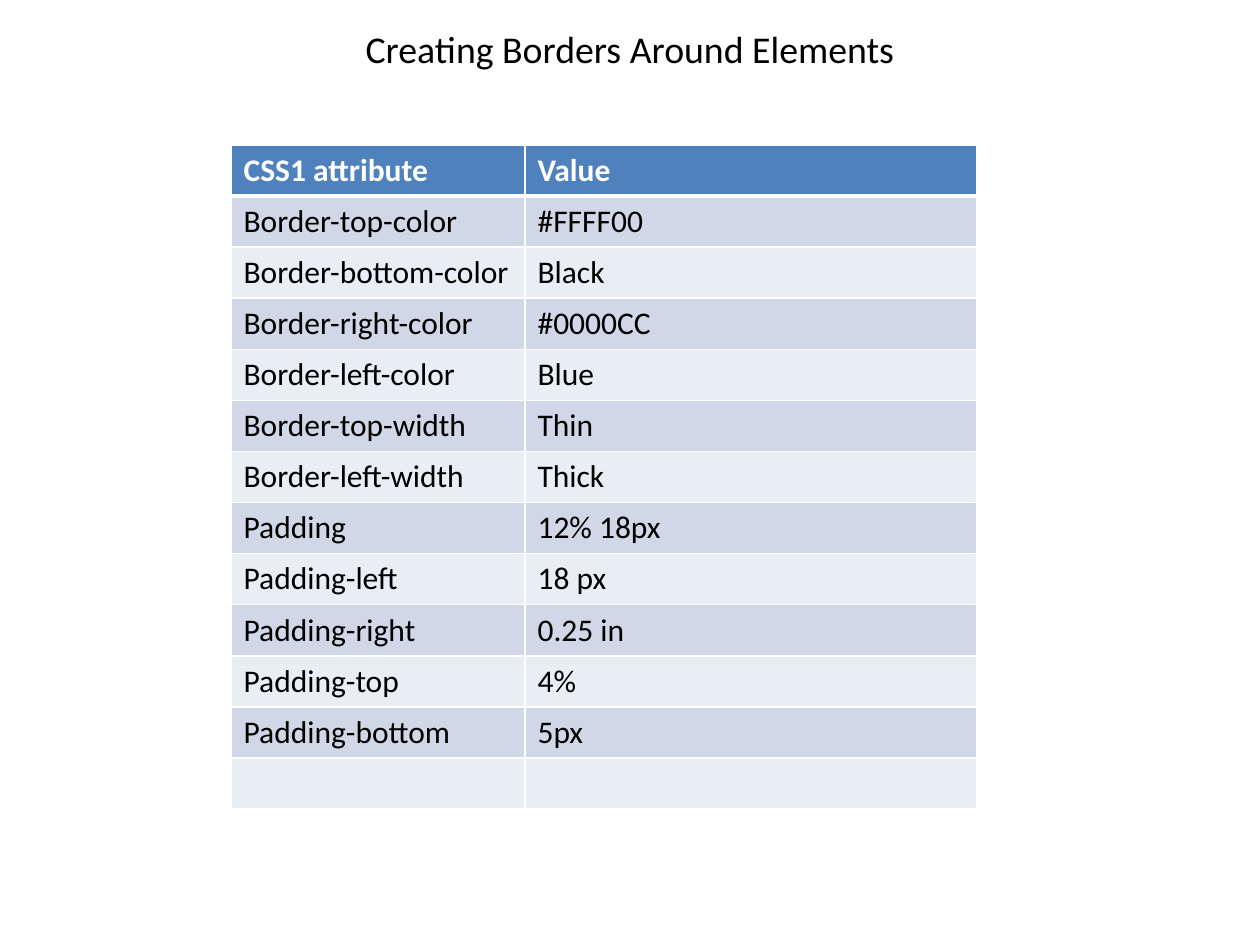
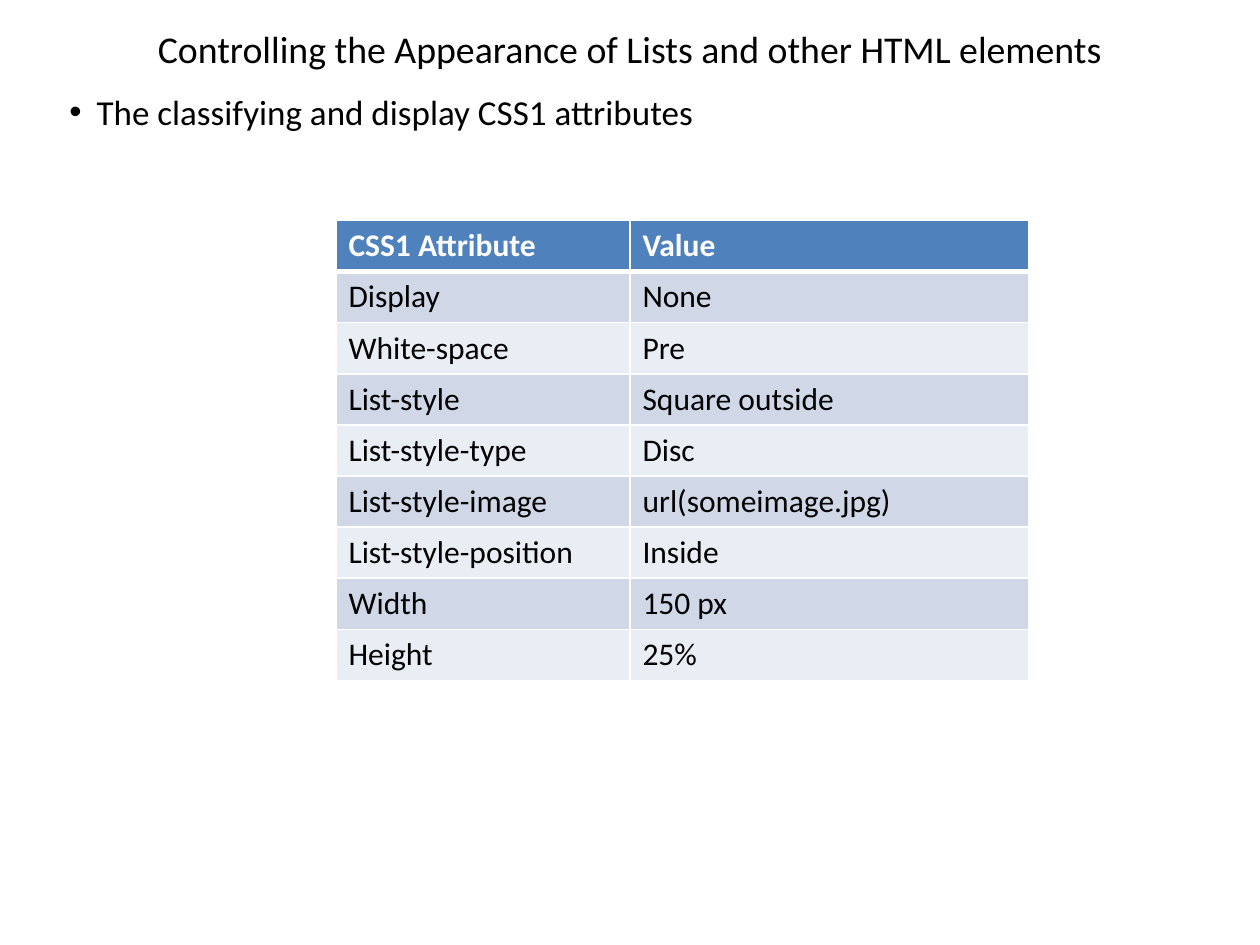
from dataclasses import dataclass

from lxml import etree
from pptx import Presentation
from pptx import util as u
from pptx.dml.color import RGBColor
from pptx.enum import text
from pptx.oxml import ns

# Scale: 120 px to the inch
EMU_PER_PX = 7620

# Shared style
FONT = "Calibri"
BLACK = RGBColor(0x00, 0x00, 0x00)
WHITE = RGBColor(0xFF, 0xFF, 0xFF)
HEADER_BLUE = RGBColor(0x4F, 0x81, 0xBD)
BAND_DARK = RGBColor(0xD0, 0xD8, 0xE8)
BAND_LIGHT = RGBColor(0xE9, 0xED, 0xF4)
TITLE_SIZE, BODY_SIZE, CELL_SIZE = 21.6, 20, 18
ROW_HEIGHT = 48
THIN_BORDER, THICK_BORDER = 1, 3
TITLE_AND_CONTENT, TITLE_ONLY = 1, 5


@dataclass(frozen=True)
class Box:
    left: int
    top: int
    width: int
    height: int


@dataclass(frozen=True)
class AttributeTable:
    left: int
    top: int
    column_widths: tuple[int, ...]
    rows: tuple[tuple[str, str], ...]


@dataclass(frozen=True)
class AttributeSlide:
    title: str
    table: AttributeTable
    bullet: str = ""


TITLE_BOX = Box(60, 0, 1080, 70)
BODY_BOX = Box(30, 80, 1110, 790)

SLIDES = (
    AttributeSlide(
        "Creating Borders Around Elements",
        AttributeTable(220, 138, (280, 430), (
            ("CSS1 attribute", "Value"),
            ("Border-top-color", "#FFFF00"),
            ("Border-bottom-color", "Black"),
            ("Border-right-color", "#0000CC"),
            ("Border-left-color", "Blue"),
            ("Border-top-width", "Thin"),
            ("Border-left-width", "Thick"),
            ("Padding", "12% 18px"),
            ("Padding-left", "18 px"),
            ("Padding-right", "0.25 in"),
            ("Padding-top", "4%"),
            ("Padding-bottom", "5px"),
            ("", ""),
        )),
    ),
    AttributeSlide(
        "Controlling the Appearance of Lists and other HTML elements",
        AttributeTable(320, 210, (280, 380), (
            ("CSS1 Attribute", "Value"),
            ("Display", "None"),
            ("White-space", "Pre"),
            ("List-style", "Square outside"),
            ("List-style-type", "Disc"),
            ("List-style-image", "url(someimage.jpg)"),
            ("List-style-position", "Inside"),
            ("Width", "150 px"),
            ("Height", "25%"),
        )),
        bullet="The classifying and display CSS1 attributes",
    ),
)


def px(length: int) -> u.Emu:
    return u.Emu(length * EMU_PER_PX)


def format_runs(paragraph, size: float, color: RGBColor, bold: bool = False) -> None:
    for run in paragraph.runs:
        run.font.name = FONT
        run.font.size = u.Pt(size)
        run.font.bold = bold
        run.font.color.rgb = color


def fill_placeholder(shape, box: Box, content: str, size: float):
    """Place a placeholder, set its text and return its paragraph."""
    shape.left, shape.top = px(box.left), px(box.top)
    shape.width, shape.height = px(box.width), px(box.height)
    frame = shape.text_frame
    frame.text = content
    frame.auto_size = text.MSO_AUTO_SIZE.NONE
    paragraph = frame.paragraphs[0]
    format_runs(paragraph, size, BLACK)
    return paragraph


def add_title(slide, title: str) -> None:
    paragraph = fill_placeholder(slide.shapes.title, TITLE_BOX, title, TITLE_SIZE)
    paragraph.alignment = text.PP_ALIGN.CENTER
    paragraph.line_spacing = 1.5


def add_bullet(slide, bullet: str) -> None:
    paragraph = fill_placeholder(slide.placeholders[1], BODY_BOX, bullet, BODY_SIZE)
    # Hanging indent
    properties = paragraph._p.get_or_add_pPr()
    properties.set("marL", str(px(50)))
    properties.set("indent", str(px(-26)))


def set_borders(cell, row: int) -> None:
    """White lines, thicker between the header and the first row."""
    top = THICK_BORDER if row == 1 else THIN_BORDER
    bottom = THICK_BORDER if row == 0 else THIN_BORDER
    properties = cell._tc.get_or_add_tcPr()
    widths = {"lnL": THIN_BORDER, "lnR": THIN_BORDER, "lnT": top, "lnB": bottom}
    for side, width in widths.items():
        line = etree.SubElement(properties, ns.qn(f"a:{side}"), w=str(u.Pt(width)))
        fill = etree.SubElement(line, ns.qn("a:solidFill"))
        etree.SubElement(fill, ns.qn("a:srgbClr"), val=str(WHITE))


def add_attribute_table(slide, spec_table: AttributeTable) -> None:
    rows, widths = spec_table.rows, spec_table.column_widths
    table = slide.shapes.add_table(
        len(rows), len(widths), px(spec_table.left), px(spec_table.top),
        px(sum(widths)), px(ROW_HEIGHT * len(rows)),
    ).table
    for column, width in zip(table.columns, widths):
        column.width = px(width)
    for row, values in enumerate(rows):
        is_header = row == 0
        band = HEADER_BLUE if is_header else (BAND_LIGHT, BAND_DARK)[row % 2]
        for column, value in enumerate(values):
            cell = table.cell(row, column)
            set_borders(cell, row)
            cell.fill.solid()
            cell.fill.fore_color.rgb = band
            if value:
                cell.text_frame.text = value
                format_runs(cell.text_frame.paragraphs[0], CELL_SIZE,
                            WHITE if is_header else BLACK, is_header)


def add_attribute_slide(presentation, content: AttributeSlide) -> None:
    layout = TITLE_AND_CONTENT if content.bullet else TITLE_ONLY
    slide = presentation.slides.add_slide(presentation.slide_layouts[layout])
    add_title(slide, content.title)
    if content.bullet:
        add_bullet(slide, content.bullet)
    add_attribute_table(slide, content.table)


def main() -> None:
    presentation = Presentation()
    presentation.slide_width, presentation.slide_height = px(1200), px(900)
    for content in SLIDES:
        add_attribute_slide(presentation, content)
    presentation.save("out.pptx")


if __name__ == "__main__":
    main()
